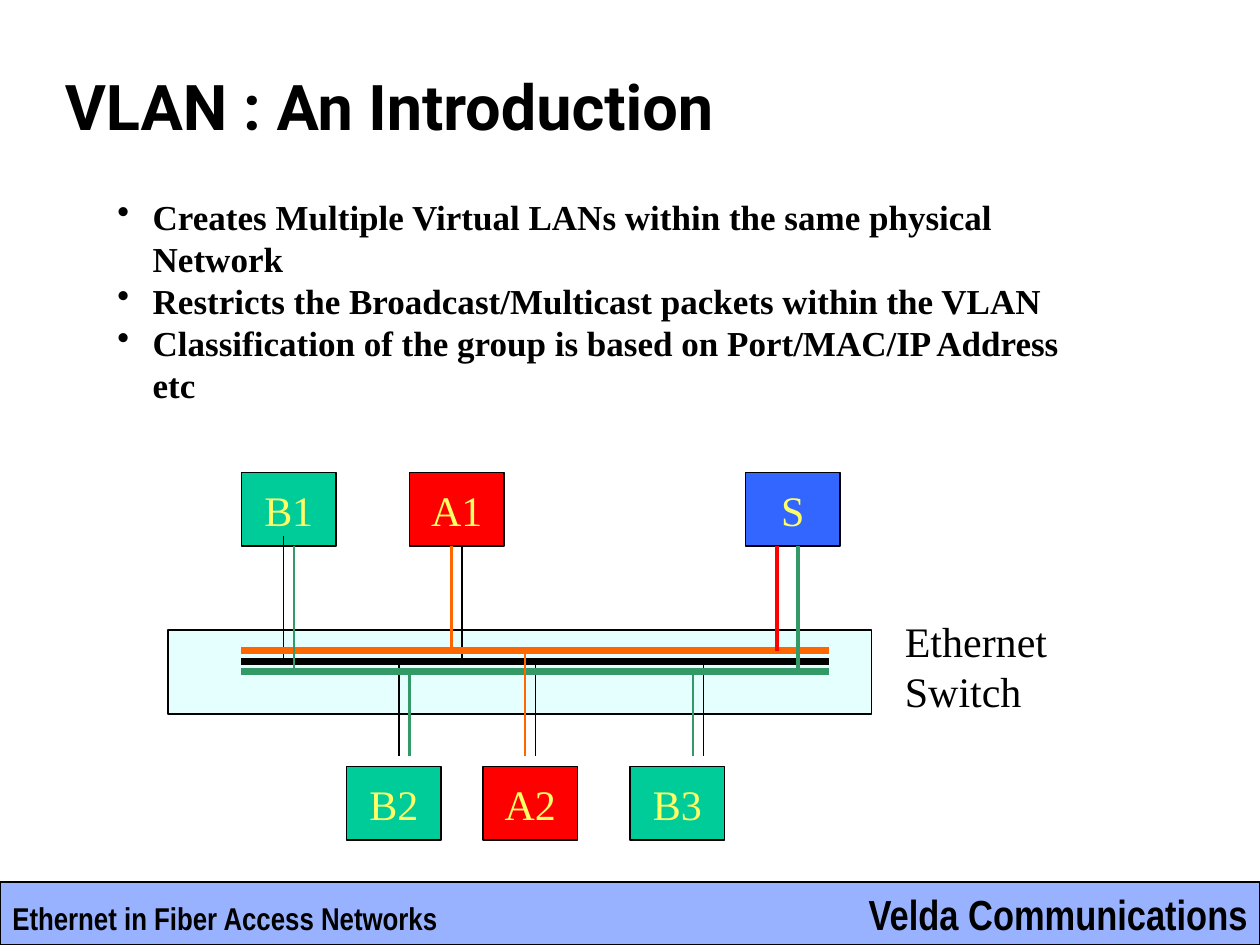
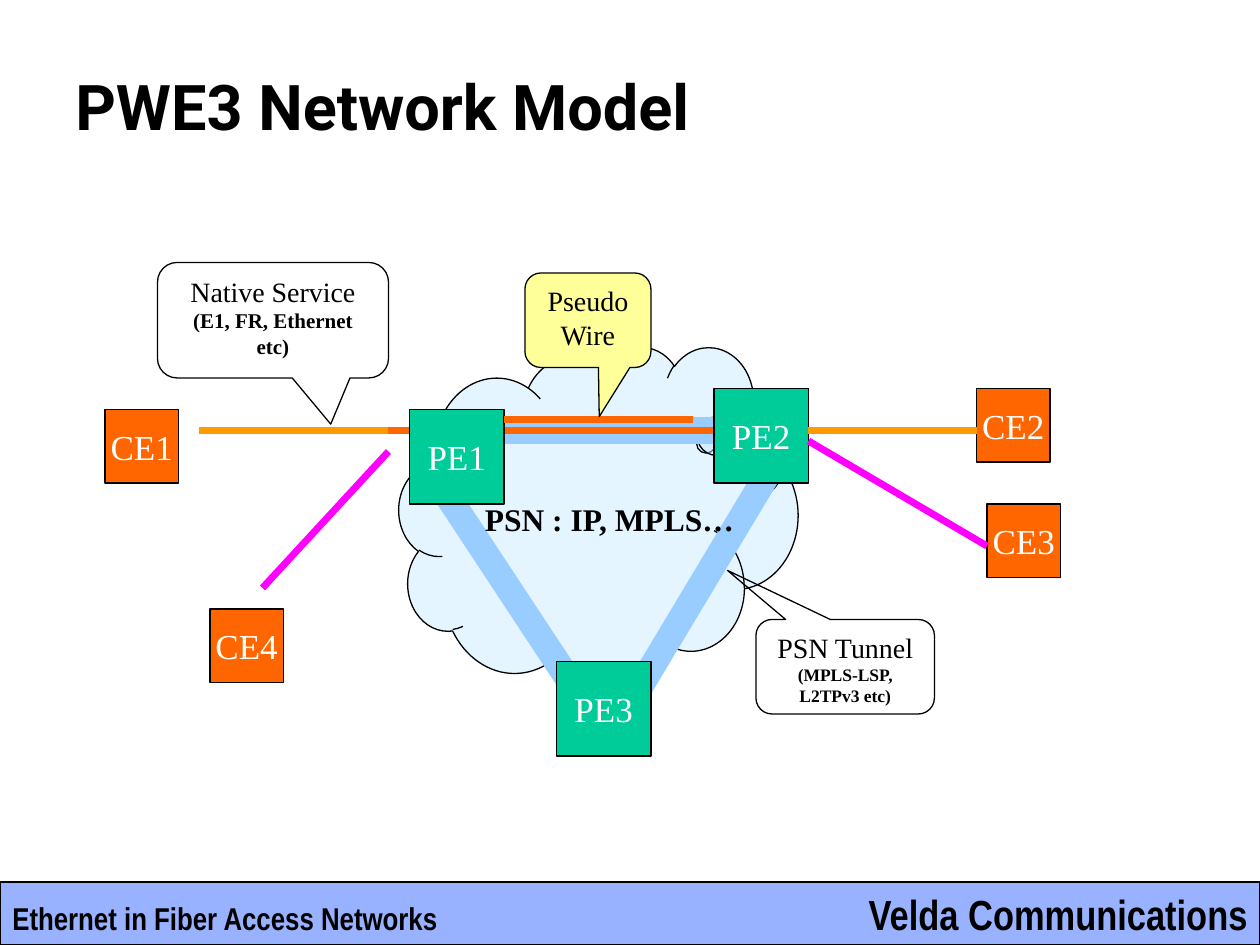
from lxml import etree
from pptx import Presentation
from pptx.dml.color import RGBColor
from pptx.enum.shapes import MSO_CONNECTOR, MSO_SHAPE
from pptx.enum.text import MSO_ANCHOR, PP_ALIGN
from pptx.oxml.ns import qn
from pptx.util import Inches, Pt

RECTANGLE = MSO_SHAPE.RECTANGLE
CLOUD = MSO_SHAPE.CLOUD_CALLOUT
CALLOUT = MSO_SHAPE.ROUNDED_RECTANGULAR_CALLOUT
STRAIGHT = MSO_CONNECTOR.STRAIGHT
TOP, MIDDLE = MSO_ANCHOR.TOP, MSO_ANCHOR.MIDDLE
LEFT, CENTER, RIGHT = PP_ALIGN.LEFT, PP_ALIGN.CENTER, PP_ALIGN.RIGHT

CELLS_PER_INCH = 12
COLUMNS, ROWS = 120, 90
BAND_TOP = 84

SERIF, TITLE_FONT, BAND_FONT = "Times New Roman", "Roboto", "Arial Narrow"
BLACK, WHITE, YELLOW = "000000", "FFFFFF", "FFFF66"
RED, ORANGE, AMBER, MAGENTA = "FF0000", "FF6600", "FF9900", "FF00FF"
TEAL, GREEN, BLUE, SKY = "00CC99", "339966", "3366FF", "99CCFF"
THIN, MEDIUM, HEAVY, BUS, TUNNEL = 0.75, 1.5, 2.25, 4, 15

BAND_LEFT_TEXT = "Ethernet in Fiber Access Networks"
BAND_RIGHT_TEXT = "Velda Communications"

VLAN_TITLE = "VLAN : An Introduction"
VLAN_POINTS = [
    "Creates Multiple Virtual LANs within the same physical Network",
    "Restricts the Broadcast/Multicast packets within the VLAN",
    "Classification of the group is based on Port/MAC/IP Address etc",
]
HOST_SIZE = (9, 7)
HOSTS = [
    ("B1", 23, 45, TEAL), ("A1", 39, 45, RED), ("S", 71, 45, BLUE),
    ("B2", 33, 73, TEAL), ("A2", 46, 73, RED), ("B3", 60, 73, TEAL),
]
BUS_ROWS = {BLACK: 63, ORANGE: 62, GREEN: 64}
BUS_START, BUS_END = 23, 79
UPPER_PORT, LOWER_PORT = 52, 72
SHARED_DROPS = [
    (27, BLACK, UPPER_PORT - 1, BLACK, THIN),
    (44, BLACK, UPPER_PORT, BLACK, THIN),
    (38, BLACK, LOWER_PORT, BLACK, THIN),
    (51, BLACK, LOWER_PORT, BLACK, THIN),
    (67, BLACK, LOWER_PORT, BLACK, THIN),
]
GROUP_DROPS = [
    (28, GREEN, UPPER_PORT, GREEN, MEDIUM),
    (39, GREEN, LOWER_PORT, GREEN, MEDIUM),
    (66, GREEN, LOWER_PORT, GREEN, MEDIUM),
    (43, ORANGE, UPPER_PORT, ORANGE, MEDIUM),
    (50, ORANGE, LOWER_PORT, ORANGE, MEDIUM),
    (74, ORANGE, UPPER_PORT, RED, HEAVY),
    (76, GREEN, UPPER_PORT, GREEN, HEAVY),
]

MODEL_TITLE = "PWE3 Network Model"
PROVIDER_EDGES = [("PE1", 39, 39), ("PE2", 68, 37), ("PE3", 53, 63)]
CUSTOMER_EDGES = [("CE1", 10, 39), ("CE2", 93, 37), ("CE3", 94, 48), ("CE4", 20, 58)]
NODE_GROUPS = [(PROVIDER_EDGES, 9, TEAL), (CUSTOMER_EDGES, 7, ORANGE)]
TUNNELS = [
    ((44, 41), (71, 41), SKY, TUNNEL),
    ((60, 67), (75, 42), SKY, TUNNEL),
    ((55, 66), (40.5, 44), SKY, TUNNEL),
    ((37, 41), (77, 41), ORANGE, BUS),
]
SERVICES = [
    ((77, 41), (93, 41), AMBER, BUS),
    ((19, 41), (37, 41), AMBER, BUS),
    ((48, 40), (66, 40), ORANGE, BUS),
    ((77, 42), (94, 52), MAGENTA, BUS),
    ((37, 43), (25, 56), MAGENTA, BUS),
]
CALLOUTS = [
    ("PSN Tunnel", "(MPLS-LSP, L2TPv3 etc)", 10, (72, 59, 17, 9), (-0.66, -1.02), None),
    ("Native Service", "(E1, FR, Ethernet etc)", 12, (15, 25, 22, 11), (0.25, 0.9), None),
    ("Pseudo Wire", None, 0, (50, 26, 12, 9), (0.09, 1.02), "FFFF99"),
]


def grid(cells):
    return Inches(cells / CELLS_PER_INCH)


def color(hex_string):
    return RGBColor.from_string(hex_string)


def set_fonts(paragraph, font_name, size, hex_color, bold=False):
    font = paragraph.font
    font.name, font.size, font.bold = font_name, Pt(size), bold
    font.color.rgb = color(hex_color)


def write(shape, lines, font_name, hex_color, align=LEFT, anchor=TOP, wrap=True):
    frame = shape.text_frame
    frame.word_wrap = wrap
    frame.vertical_anchor = anchor
    for index, (text, size, bold) in enumerate(lines):
        paragraph = frame.add_paragraph() if index else frame.paragraphs[0]
        paragraph.text = text
        paragraph.alignment = align
        set_fonts(paragraph, font_name, size, hex_color, bold)


def add_label(slide, box, text, size, font_name=SERIF, bold=False, **layout):
    label = slide.shapes.add_textbox(*map(grid, box))
    write(label, [(text, size, bold)], font_name, BLACK, **layout)


def add_box(slide, preset, box, fill=None, opacity=None, adjustments=()):
    shape = slide.shapes.add_shape(preset, *map(grid, box))
    shape.shadow.inherit = False
    shape.line.color.rgb = color(BLACK)
    shape.line.width = Pt(THIN)
    for index, value in enumerate(adjustments):
        shape.adjustments[index] = value
    if fill is None:
        shape.fill.background()
        return shape
    shape.fill.solid()
    shape.fill.fore_color.rgb = color(fill)
    if opacity:
        fill_color = shape.element.spPr.find(qn("a:solidFill"))[0]
        etree.SubElement(fill_color, qn("a:alpha"), val=str(opacity * 1000))
    return shape


def add_node(slide, name, box, fill, size, text_color):
    node = add_box(slide, RECTANGLE, box, fill)
    write(node, [(name, size, False)], SERIF, text_color, CENTER, MIDDLE, wrap=False)


def add_line(slide, start, end, hex_color, width):
    line = slide.shapes.add_connector(STRAIGHT, *map(grid, (*start, *end)))
    line.line.color.rgb = color(hex_color)
    line.line.width = Pt(width)
    etree.SubElement(line.element.spPr, qn("a:effectLst"))


def add_bullets(slide, box, points):
    body = slide.shapes.add_textbox(*map(grid, box))
    body.text_frame.word_wrap = True
    for index, point in enumerate(points):
        paragraph = body.text_frame.add_paragraph() if index else body.text_frame.paragraphs[0]
        paragraph.text = point
        properties = paragraph._p.get_or_add_pPr()
        indent = Inches(0.28)
        properties.set("marL", str(indent))
        properties.set("indent", str(-indent))
        etree.SubElement(properties, qn("a:buChar"), char="•")
        set_fonts(paragraph, SERIF, 20, BLACK, bold=True)


def add_base_slide(presentation, title, title_left):
    slide = presentation.slides.add_slide(presentation.slide_layouts[6])
    add_box(slide, RECTANGLE, (0, BAND_TOP, COLUMNS, ROWS - BAND_TOP), BLUE, opacity=50)
    add_label(slide, (80, BAND_TOP, 40, 6), BAND_RIGHT_TEXT, 24, BAND_FONT, True,
              align=RIGHT, wrap=False)
    add_label(slide, (0, BAND_TOP + 1, 43, 5), BAND_LEFT_TEXT, 18, BAND_FONT, True, wrap=False)
    add_label(slide, (title_left, 5, 102, 10), title, 36, TITLE_FONT, True, anchor=MIDDLE)
    return slide


def add_drops(slide, drops):
    for column, bus, port, hex_color, width in drops:
        add_line(slide, (column, BUS_ROWS[bus]), (column, port), hex_color, width)


def build_vlan_slide(presentation):
    slide = add_base_slide(presentation, VLAN_TITLE, 5)
    add_box(slide, RECTANGLE, (16, 60, 67, 8), "CCFFFF", opacity=50)
    for name, column, row, fill in HOSTS:
        add_node(slide, name, (column, row, *HOST_SIZE), fill, 24, YELLOW)
    add_drops(slide, SHARED_DROPS)
    for hex_color, row in BUS_ROWS.items():
        add_line(slide, (BUS_START, row), (BUS_END, row), hex_color, BUS)
    add_drops(slide, GROUP_DROPS)
    add_bullets(slide, (10, 18, 95.6, 21), VLAN_POINTS)
    add_label(slide, (85, 58, 25, 11), "Ethernet Switch", 24)


def build_model_slide(presentation):
    slide = add_base_slide(presentation, MODEL_TITLE, 6)
    add_box(slide, CLOUD, (38, 33, 38, 33), "CCECFF", 50, (0.27, -0.22))
    for tunnel in TUNNELS:
        add_line(slide, *tunnel)
    for nodes, side, fill in NODE_GROUPS:
        for name, column, row in nodes:
            add_node(slide, name, (column, row, side, side), fill, 20, WHITE)
    for service in SERVICES:
        add_line(slide, *service)
    for heading, detail, detail_size, box, tip, fill in CALLOUTS:
        callout = add_box(slide, CALLOUT, box, fill, adjustments=(*tip, 0.17))
        lines = [(heading, 16, False)]
        if detail:
            lines.append((detail, detail_size, True))
        write(callout, lines, SERIF, BLACK, CENTER)
    add_label(slide, (45, 47, 27, 5), "PSN : IP, MPLS…", 18, bold=True, wrap=False)


def main():
    presentation = Presentation()
    presentation.slide_width = grid(COLUMNS)
    presentation.slide_height = grid(ROWS)
    build_vlan_slide(presentation)
    build_model_slide(presentation)
    presentation.save("out.pptx")


if __name__ == "__main__":
    main()
